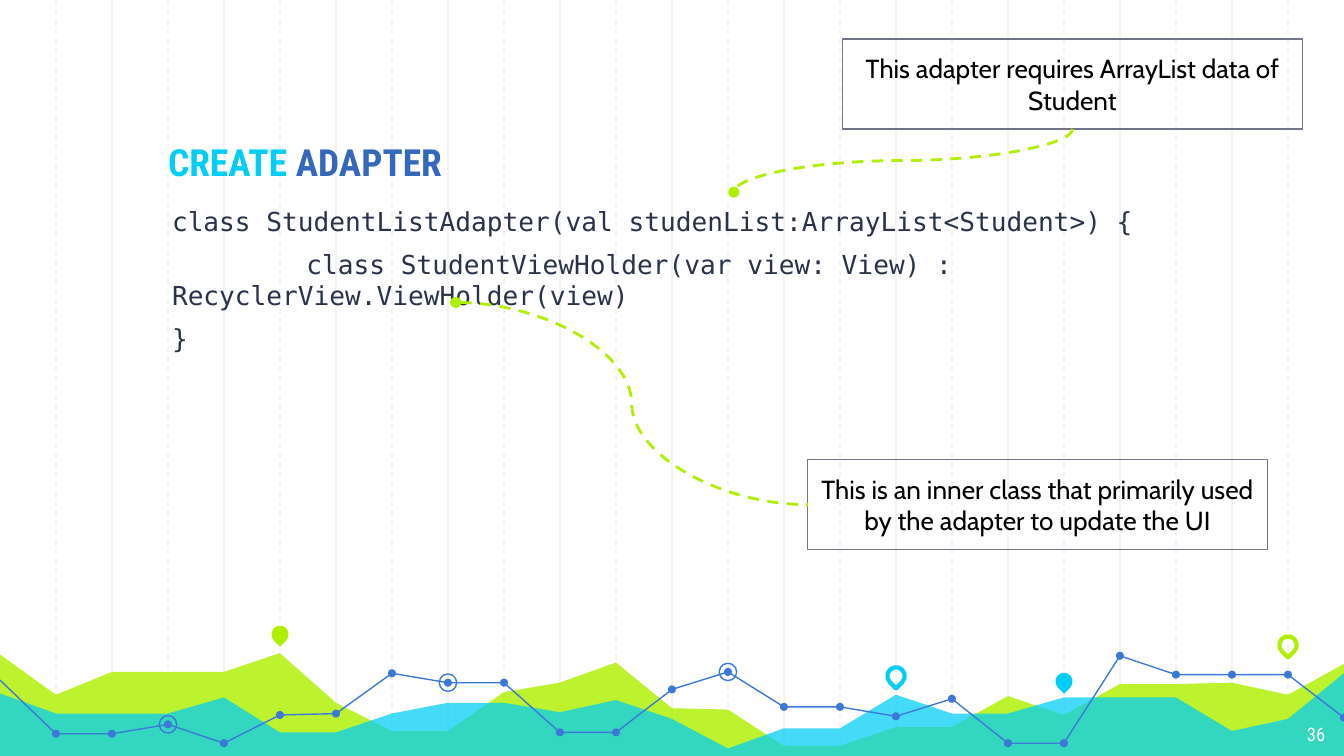
from lxml.etree import SubElement
from pptx import Presentation
from pptx.dml.color import RGBColor
from pptx.enum.dml import MSO_LINE
from pptx.enum.shapes import MSO_CONNECTOR as Connector, MSO_SHAPE as Shape
from pptx.enum.text import MSO_ANCHOR as Anchor, MSO_AUTO_SIZE as AutoSize, PP_ALIGN as Align
from pptx.oxml.ns import qn
from pptx.util import Inches, Pt

WIDTH = 10
HEIGHT = WIDTH * 9 / 16
COLUMNS = 24
COLUMN = WIDTH / COLUMNS
MARGIN = Inches(0.1)
COLORS = {
    "grid": "F3F3F3", "lime": "AFF000", "cyan": "00CEF6", "blue": "3C78D8",
    "title": "3468BC", "code": "28324A", "border": "707685",
    "black": "000000", "white": "FFFFFF",
}
HEADING_FONT, CODE_FONT, NOTE_FONT = "Roboto Condensed", "DejaVu Sans Mono", "Cabin"

TITLE = [("CREATE ", "cyan"), ("ADAPTER", "title")]
CODE = [
    "class StudentListAdapter(val studenList:ArrayList<Student>) {",
    "\tclass StudentViewHolder(var view: View) : RecyclerView.ViewHolder(view)",
    "}",
]
PAGE = "36"
INNER_CLASS_NOTE = "This is an inner class that primarily used by the adapter to update the UI"
DATA_NOTE = "This adapter requires ArrayList data of Student"

# One height per grid column, from the left edge to the right edge
AREAS = [  # colour, opacity in percent, heights
    ("lime", 82, [4.87, 5.17, 5, 5, 5, 4.86, 5.23, 5.44, 5.44, 5.15, 5.08, 4.93, 5.27,
                  5.28, 5.55, 5.55, 5.41, 5.41, 5.18, 5.32, 5.09, 5.09, 5.08, 5.17, 4.94]),
    ("cyan", 73, [5.16, 5.31, 5.31, 5.31, 5.19, 5.45, 5.45, 5.31, 5.23, 5.23, 5.3, 5.21, 5.35,
                  5.57, 5.42, 5.42, 5.17, 5.31, 5.31, 5.19, 5.19, 5.19, 5.44, 5.35, 5.01]),
]
TREND = [5.06, 5.46, 5.46, 5.39, 5.53, 5.32, 5.31, 5.01, 5.08, 5.08, 5.45, 5.45, 5.13,
         5, 5.26, 5.26, 5.33, 5.2, 5.53, 5.53, 4.88, 5.02, 5.02, 5.02, 5.34]
RINGED_COLUMNS = [3, 8, 13]
PINS = [  # column, centre height, colour, filled
    (5, 4.72, "lime", True), (16, 5.03, "cyan", False),
    (19, 5.07, "cyan", True), (23, 4.8, "lime", False),
]


def color(name):
    return RGBColor.from_string(COLORS[name])


def paint(shape, fill=None, line=None, width=0.75):
    shape.shadow.inherit = False
    if fill:
        shape.fill.solid()
        shape.fill.fore_color.rgb = color(fill)
    else:
        shape.fill.background()
    if line:
        shape.line.color.rgb = color(line)
        shape.line.width = Pt(width)
    else:
        shape.line.fill.background()


def add_connector(shapes, kind, start, end, line, width, dashed):
    connector = shapes.add_connector(kind, *map(Inches, start + end))
    connector.line.color.rgb = color(line)
    connector.line.width = Pt(width)
    if dashed:
        connector.line.dash_style = MSO_LINE.DASH
    SubElement(connector._element.spPr, qn("a:effectLst"))
    return connector


def add_path(shapes, points, closed):
    points = [(Inches(x), Inches(y)) for x, y in points]
    builder = shapes.build_freeform(*points[0])
    builder.add_line_segments(points[1:], close=closed)
    return builder.convert_to_shape()


def add_centered(shapes, kind, column, y, size):
    corner = (Inches(column * COLUMN - size / 2), Inches(y - size / 2))
    return shapes.add_shape(kind, *corner, Inches(size), Inches(size))


def set_frame(shape, anchor):
    frame = shape.text_frame
    frame.word_wrap = True
    frame.auto_size = AutoSize.NONE
    frame.vertical_anchor = anchor
    frame.margin_left = frame.margin_right = frame.margin_top = frame.margin_bottom = MARGIN
    return frame


def set_font(paragraph, name, size, fill=None, bold=False):
    paragraph.font.name = name
    paragraph.font.size = Pt(size)
    paragraph.font.bold = bold
    if fill:
        paragraph.font.color.rgb = color(fill)


def place(shape, left, top, width, height):
    shape.left, shape.top = Inches(left), Inches(top)
    shape.width, shape.height = Inches(width), Inches(height)


def add_background(shapes):
    for first, dashed in ((2, False), (1, True)):
        for column in range(first, COLUMNS, 2):
            x = column * COLUMN
            add_connector(shapes, Connector.STRAIGHT, (x, 0), (x, HEIGHT), "grid", 0.75, dashed)
    for fill, opacity, heights in AREAS:
        ridge = [(column * COLUMN, y) for column, y in enumerate(heights)]
        area = add_path(shapes, ridge + [(WIDTH, HEIGHT), (0, HEIGHT)], True)
        paint(area, fill)
        rgb = area._element.spPr.find(qn("a:solidFill")).find(qn("a:srgbClr"))
        SubElement(rgb, qn("a:alpha"), val=str(opacity * 1000))
    for column, y, tint, filled in PINS:
        pin = add_centered(shapes, Shape.TEAR, column, y, 0.13)
        pin.rotation = 135
        paint(pin, fill=tint if filled else None, line=None if filled else tint, width=2.25)
    trend = add_path(shapes, [(column * COLUMN, y) for column, y in enumerate(TREND)], False)
    paint(trend, line="blue")
    for column, y in list(enumerate(TREND))[1:]:
        paint(add_centered(shapes, Shape.OVAL, column, y, 0.06), "blue")
    for column in RINGED_COLUMNS:
        paint(add_centered(shapes, Shape.OVAL, column, TREND[column], 0.13), line="blue")


def fill_title(title):
    place(title, 1.15, 0.69, 7.65, 0.78)
    paragraph = set_frame(title, Anchor.BOTTOM).paragraphs[0]
    paragraph.alignment = Align.LEFT
    set_font(paragraph, HEADING_FONT, 20, bold=True)
    for text, tint in TITLE:
        run = paragraph.add_run()
        run.text = text
        run.font.color.rgb = color(tint)


def fill_code(body):
    place(body, 1.18, 1.43, 8.57, 2.1)
    frame = set_frame(body, Anchor.TOP)
    for index, text in enumerate(CODE):
        paragraph = frame.add_paragraph() if index else frame.paragraphs[0]
        paragraph.text = text
        properties = paragraph._p.get_or_add_pPr()
        properties.set("marL", "0")
        properties.set("indent", "0")
        properties.set("defTabSz", str(Inches(1)))
        SubElement(properties, qn("a:buNone"))
        paragraph.space_before = Pt(6 if index else 0)
        set_font(paragraph, CODE_FONT, 14, "code")


def add_note(shapes, text, left, top):
    note = shapes.add_shape(Shape.RECTANGLE, 0, 0, 0, 0)
    place(note, left, top, 3.42, 0.67)
    paint(note, line="border")
    paragraph = set_frame(note, Anchor.MIDDLE).paragraphs[0]
    paragraph.text = text
    paragraph.alignment = Align.CENTER
    set_font(paragraph, NOTE_FONT, 14, "black")
    return note


def add_pointer(shapes, start, end, oval_end):
    pointer = add_connector(shapes, Connector.CURVE, start, end, "lime", 1.5, True)
    SubElement(pointer.line._get_or_add_ln(), qn(f"a:{oval_end}"), type="oval")
    return pointer


def add_page_number(shapes):
    box = shapes.add_textbox(Inches(9.36), Inches(5.28), Inches(0.6), Inches(0.35))
    paragraph = set_frame(box, Anchor.TOP).paragraphs[0]
    paragraph.text = PAGE
    paragraph.alignment = Align.RIGHT
    set_font(paragraph, HEADING_FONT, 10, "white")


def main():
    presentation = Presentation()
    presentation.slide_width, presentation.slide_height = Inches(WIDTH), Inches(HEIGHT)
    slide = presentation.slides.add_slide(presentation.slide_layouts[1])
    shapes = slide.shapes
    title, body = shapes.title, slide.placeholders[1]

    add_background(shapes)
    fill_title(title)
    fill_code(body)
    for placeholder in (title, body):  # bring the text in front of the background
        shapes._spTree.append(placeholder._element)
    add_page_number(shapes)

    inner_note = add_note(shapes, INNER_CLASS_NOTE, 6.01, 3.42)
    add_pointer(shapes, (3.39, 2.25), (6.01, 3.76), "headEnd").end_connect(inner_note, 1)

    data_note = add_note(shapes, DATA_NOTE, 6.27, 0.29)
    (x1, y1), (x2, y2) = (7.98, 0.96), (5.46, 1.43)
    pointer = add_pointer(shapes, (x1, y1), (x2, y2), "tailEnd")
    pointer.begin_connect(data_note, 2)
    # A quarter turn makes the curve leave the note downwards
    center_x, center_y = (x1 + x2) / 2, (y1 + y2) / 2
    half_width, half_height = (y2 - y1) / 2, (x1 - x2) / 2
    pointer.begin_x, pointer.end_x = Inches(center_x - half_width), Inches(center_x + half_width)
    pointer.begin_y, pointer.end_y = Inches(center_y - half_height), Inches(center_y + half_height)
    pointer._element.spPr.find(qn("a:xfrm")).set("rot", str(90 * 60000))

    presentation.save("out.pptx")


if __name__ == "__main__":
    main()
